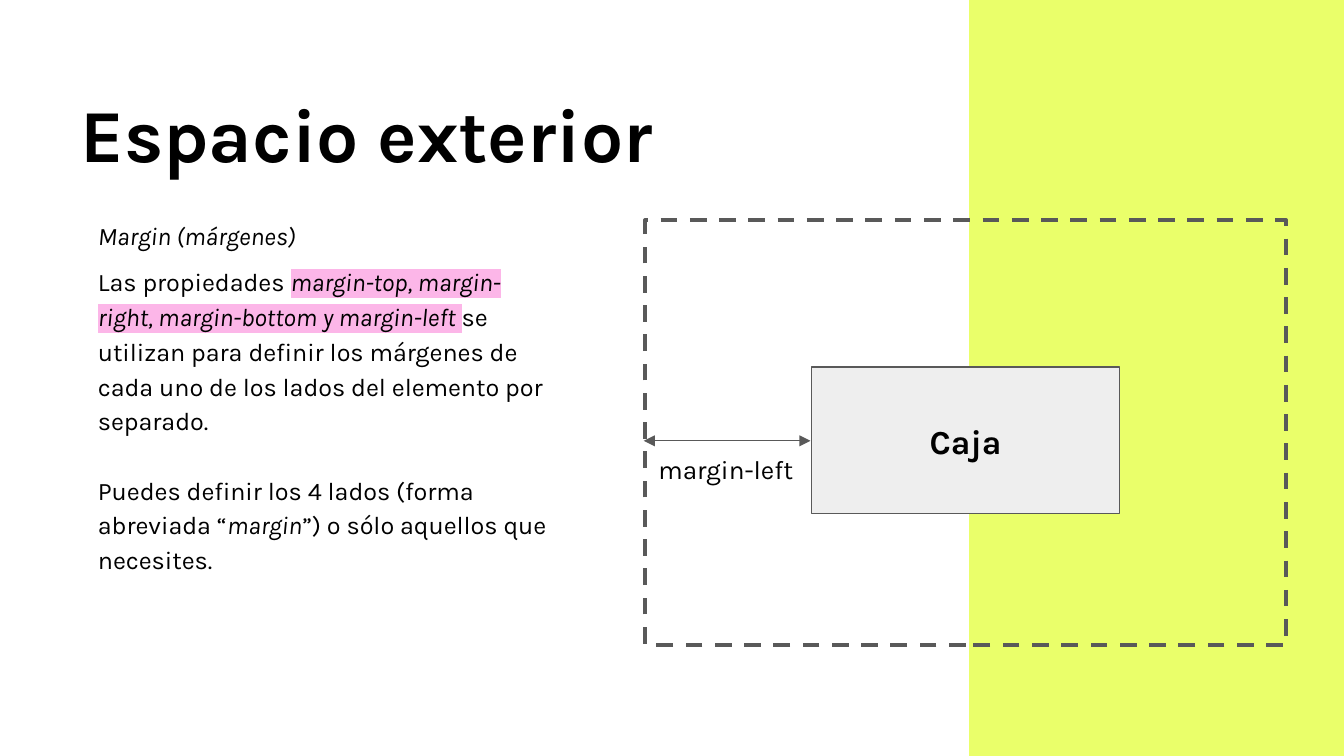
from lxml import etree
from pptx import Presentation
from pptx.dml.color import RGBColor
from pptx.enum.dml import MSO_LINE
from pptx.enum.shapes import MSO_CONNECTOR, MSO_SHAPE
from pptx.enum.text import PP_ALIGN
from pptx.oxml.ns import qn
from pptx.util import Inches, Pt

WIDTH = 10
HEIGHT = WIDTH * 9 / 16
GRAY = "595959"
PINK = "FCB6E8"


def color(value):
    return RGBColor.from_string(value)


def set_line(line, width, dash=None):
    line.color.rgb = color(GRAY)
    line.width = Pt(width)
    if dash:
        line.dash_style = dash


def add_box(s, at, fill=None, width=None, dash=None):
    sp = s.shapes.add_shape(MSO_SHAPE.RECTANGLE, *map(Inches, at))
    sp.shadow.inherit = False
    if fill:
        sp.fill.solid()
        sp.fill.fore_color.rgb = color(fill)
    else:
        sp.fill.background()
    if width:
        set_line(sp.line, width, dash)
    else:
        sp.line.fill.background()


def highlight(r, value):
    mark = etree.Element(qn("a:highlight"))
    etree.SubElement(mark, qn("a:srgbClr"), val=value)
    r.font._element.find(qn("a:solidFill")).addnext(mark)


def add_text(s, at, size, paragraphs, bold=False):
    tf = s.shapes.add_textbox(*map(Inches, at)).text_frame
    tf.word_wrap = True
    for side in ("left", "top", "right", "bottom"):
        setattr(tf, f"margin_{side}", Inches(0.1))
    for i, (runs, layout) in enumerate(paragraphs):
        p = tf.paragraphs[0] if i == 0 else tf.add_paragraph()
        for name, value in layout.items():
            setattr(p, name, value)
        for text, italic, mark in runs:
            r = p.add_run()
            r.text = text
            font = {"name": "Karla", "size": Pt(size), "bold": bold, "italic": italic}
            for name, value in font.items():
                setattr(r.font, name, value)
            r.font.color.rgb = color("000000")
            if mark:
                highlight(r, mark)


def add_label(s, at, size, text, bold=False, **layout):
    add_text(s, at, size, [([(text, False, None)], layout)], bold)


def add_double_arrow(s, x1, x2, y):
    sp = s.shapes.add_connector(
        MSO_CONNECTOR.STRAIGHT, Inches(x1), Inches(y), Inches(x2), Inches(y))
    set_line(sp.line, 0.75)
    ln = sp.line._get_or_add_ln()
    for end in ("a:headEnd", "a:tailEnd"):
        etree.SubElement(ln, qn(end), type="triangle")
    etree.SubElement(sp._element.spPr, qn("a:effectLst"))


def main():
    prs = Presentation()
    prs.slide_width, prs.slide_height = Inches(WIDTH), Inches(HEIGHT)
    s = prs.slides.add_slide(prs.slide_layouts[6])

    add_box(s, (7.21, 0, 2.79, HEIGHT), "EAFF6A")
    add_label(s, (0.5, 0.63, 5.85, 0.81), 40, "Espacio exterior", True, line_spacing=0.9)

    add_text(s, (0.63, 1.51, 3.55, 3.97), 13.5, [
        ([("Margin (márgenes)", True, None)], {"line_spacing": 1.15}),
        ([("Las propiedades ", False, None),
          ("margin-top, margin-right, margin-bottom y margin-left", True, PINK),
          (" ", False, PINK),
          ("se utilizan para definir los márgenes de cada uno de los lados "
           "del elemento por separado.", False, None)],
         {"line_spacing": 1.15, "space_before": Pt(6)}),
        ([("Puedes definir los 4 lados (forma abreviada “", False, None),
          ("margin", True, None),
          ("”) o sólo aquellos que necesites.", False, None)],
         {"line_spacing": 1.15, "space_before": Pt(18.6)}),
    ])

    add_box(s, (4.8, 1.64, 4.77, 3.16), width=2.25, dash=MSO_LINE.DASH)
    add_box(s, (6.04, 2.73, 2.29, 1.09), "EEEEEE", 0.75)
    add_label(s, (6.42, 3.03, 1.53, 0.5), 18, "Caja", True, alignment=PP_ALIGN.CENTER)
    add_double_arrow(s, 6.03, 4.79, 3.28)
    add_label(s, (4.8, 3.27, 5.2, 0.44), 14, "margin-left")

    prs.save("out.pptx")


if __name__ == "__main__":
    main()
